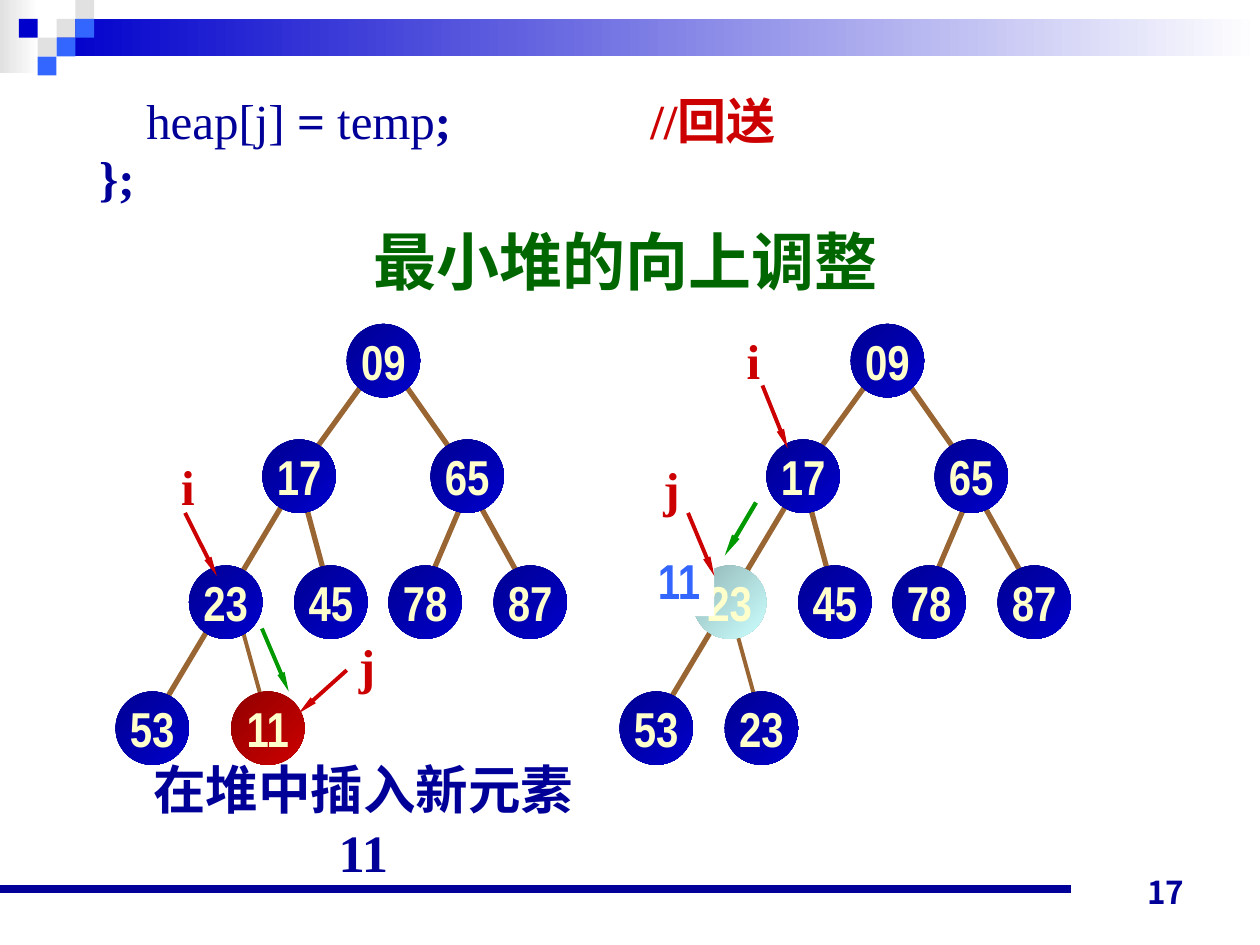
from lxml.etree import SubElement
from pptx import Presentation
from pptx.dml.color import RGBColor
from pptx.enum.shapes import MSO_CONNECTOR, MSO_SHAPE
from pptx.enum.text import MSO_ANCHOR, PP_ALIGN
from pptx.oxml.ns import qn
from pptx.util import Cm, Pt

NAVY, BLUE, SKY, GREY = "000099", "0000CC", "3366FF", "E1E1E1"
RED, GREEN, BROWN, CREAM, WHITE = "CC0000", "009900", "996633", "FFFFCC", "FFFFFF"
SERIF, NARROW, CJK = "Times New Roman", "Arial Narrow", "Noto Sans CJK JP"

deck = Presentation()
deck.slide_width, deck.slide_height = Cm(25.4), Cm(19.05)
slide = deck.slides.add_slide(deck.slide_layouts[6])


def add_block(left, top, width, height, text="", kind=MSO_SHAPE.RECTANGLE, fill=None,
              angle=0, size=28, font=SERIF, color=NAVY, align=PP_ALIGN.CENTER,
              anchor=MSO_ANCHOR.MIDDLE, wrap=False, margins=(0, 0), spacing=None):
    area = Cm(left), Cm(top), Cm(width), Cm(height)
    if fill:
        block = slide.shapes.add_shape(kind, *area)
        block.shadow.inherit = False
        block.line.fill.background()
        if isinstance(fill, tuple):
            block.fill.gradient()
            block.fill.gradient_angle = angle
            for stop, shade in zip(block.fill.gradient_stops, fill):
                stop.color.rgb = RGBColor.from_string(shade)
        else:
            block.fill.solid()
            block.fill.fore_color.rgb = RGBColor.from_string(fill)
    else:
        block = slide.shapes.add_textbox(*area)
    if not text:
        return block
    frame = block.text_frame
    frame.word_wrap = wrap
    frame.vertical_anchor = anchor
    frame.margin_left = frame.margin_right = Cm(margins[0])
    frame.margin_top = frame.margin_bottom = Cm(margins[1])
    paragraphs = [[(text, True, color)]] if isinstance(text, str) else text
    for index, pieces in enumerate(paragraphs):
        paragraph = frame.add_paragraph() if index else frame.paragraphs[0]
        paragraph.alignment = align
        paragraph.line_spacing = spacing
        for words, bold, shade in pieces:
            run = paragraph.add_run()
            run.text = words
            run.font.size = Pt(size)
            run.font.bold = bold
            run.font.color.rgb = RGBColor.from_string(shade)
            run.font.name = font
            SubElement(run.font._element, qn("a:ea"), typeface=CJK)
    return block


def add_line(x1, y1, x2, y2, color=BROWN, weight=3, arrow=False):
    line = slide.shapes.add_connector(MSO_CONNECTOR.STRAIGHT, Cm(x1), Cm(y1), Cm(x2), Cm(y2))
    line.line.color.rgb = RGBColor.from_string(color)
    line.line.width = Pt(weight)
    if arrow:
        SubElement(line.line._get_or_add_ln(), qn("a:tailEnd"), type="triangle", w="sm", len="lg")
    SubElement(line._element.spPr, qn("a:effectLst"))


add_block(0, 0, 0.79, 1.47, fill=(GREY, WHITE))
add_block(1.14, 0.38, 24.26, 0.76, fill=(BLUE, WHITE))
tile = 0.38
for column, row, shade in [(3, 1, GREY), (4, 0, GREY), (4, 1, SKY), (2, 2, GREY),
                           (1, 1, BLUE), (3, 2, SKY), (2, 3, SKY)]:
    add_block(column * tile, row * tile, tile, tile, fill=shade)
add_line(0, 17.93, 21.59, 17.93, color=NAVY, weight=4.5)
add_block(18.21, 17.22, 5.92, 1.27, "17", size=18, font=CJK, align=PP_ALIGN.RIGHT,
          anchor=MSO_ANCHOR.BOTTOM, wrap=True, margins=(0.25, 0.13))
add_block(2.31, 15.77, 10.03, 1.52, "在堆中插入新元素11", size=30, wrap=True,
          margins=(0.3, 0.13))

tree_edges = [
    (9.53, 9.93, 10.59, 11.84), (9.32, 10.13, 8.69, 11.61), (8.05, 7.59, 9.09, 9.07),
    (6.15, 10.13, 6.55, 11.61), (7.42, 7.59, 6.35, 9.07), (5.72, 10.13, 3.18, 14.38),
]
tree_nodes = [
    ("09", 6.99, 6.53), ("17", 5.29, 8.86), ("65", 8.68, 8.86), ("23", 3.81, 11.4),
    ("45", 5.93, 11.4), ("78", 7.83, 11.4), ("87", 9.95, 11.4), ("53", 2.33, 13.94),
]
node_blue, node_red, node_pale = ("000092", BLUE), ("920000", RED), ("92B6B6", "CCFFFF")
for shift, leaf, leaf_left, leaf_fill, moved_fill in [
    (0, "11", 4.66, node_red, node_blue),
    (10.16, "23", 4.45, node_blue, node_pale),
]:
    add_line(leaf_left + shift + 0.22, 12.67, leaf_left + shift + 0.63, 14.15, weight=2.25)
    for x1, y1, x2, y2 in tree_edges:
        add_line(x1 + shift, y1, x2 + shift, y2)
    for key, left, top in tree_nodes + [(leaf, leaf_left, 13.94)]:
        fill = leaf_fill if left == leaf_left else moved_fill if key == "23" else node_blue
        add_block(left + shift, top, 1.48, 1.48, key, kind=MSO_SHAPE.OVAL, fill=fill,
                  angle=315, font=NARROW, color=CREAM)

add_block(12.98, 10.97, 1.42, 1.45, "11", fill=WHITE, font=NARROW, color=SKY)
for index_name, left, top in [("i", 3.38, 9.07), ("j", 13.13, 9.12),
                              ("j", 6.99, 12.67), ("i", 14.78, 6.53)]:
    add_block(left, top, 0.82, 1.45, index_name, color=RED)
for x1, y1, x2, y2, color, weight in [
    (3.73, 10.34, 4.37, 11.61, RED, 2.25),
    (5.28, 12.67, 5.82, 13.94, GREEN, 2.25),
    (6.99, 13.51, 6.02, 14.38, RED, 2.25),
    (15.37, 7.77, 15.88, 9.04, RED, 2.25),
    (13.87, 10.34, 14.4, 11.61, RED, 2.25),
    (15.24, 10.13, 14.61, 11.2, GREEN, 2.5),
]:
    add_line(x1, y1, x2, y2, color, weight, arrow=True)

add_block(7.29, 4.65, 11.86, 1.47, "最小堆的向上调整", size=36, color="006600",
          align=PP_ALIGN.LEFT, anchor=MSO_ANCHOR.TOP, wrap=True, margins=(0.25, 0.13), spacing=0.8)
code = add_block(1.75, 1.93, 22.86, 2.79, [
    [("\t", True, NAVY), ("heap[j]", False, NAVY), (" = ", True, NAVY), ("temp", False, NAVY),
     (";\t\t\t\t", True, NAVY), ("//回送", True, RED)],
    [("};", True, NAVY)],
], align=PP_ALIGN.LEFT, anchor=MSO_ANCHOR.TOP, wrap=True, margins=(0.25, 0.13), spacing=0.8)
for paragraph in code.text_frame.paragraphs:
    properties = paragraph._p.get_or_add_pPr()
    properties.set("marL", str(Cm(0.95)))
    properties.set("indent", str(-Cm(0.95)))
code.text_frame.paragraphs[1].space_before = Pt(5.6)

deck.save("out.pptx")
